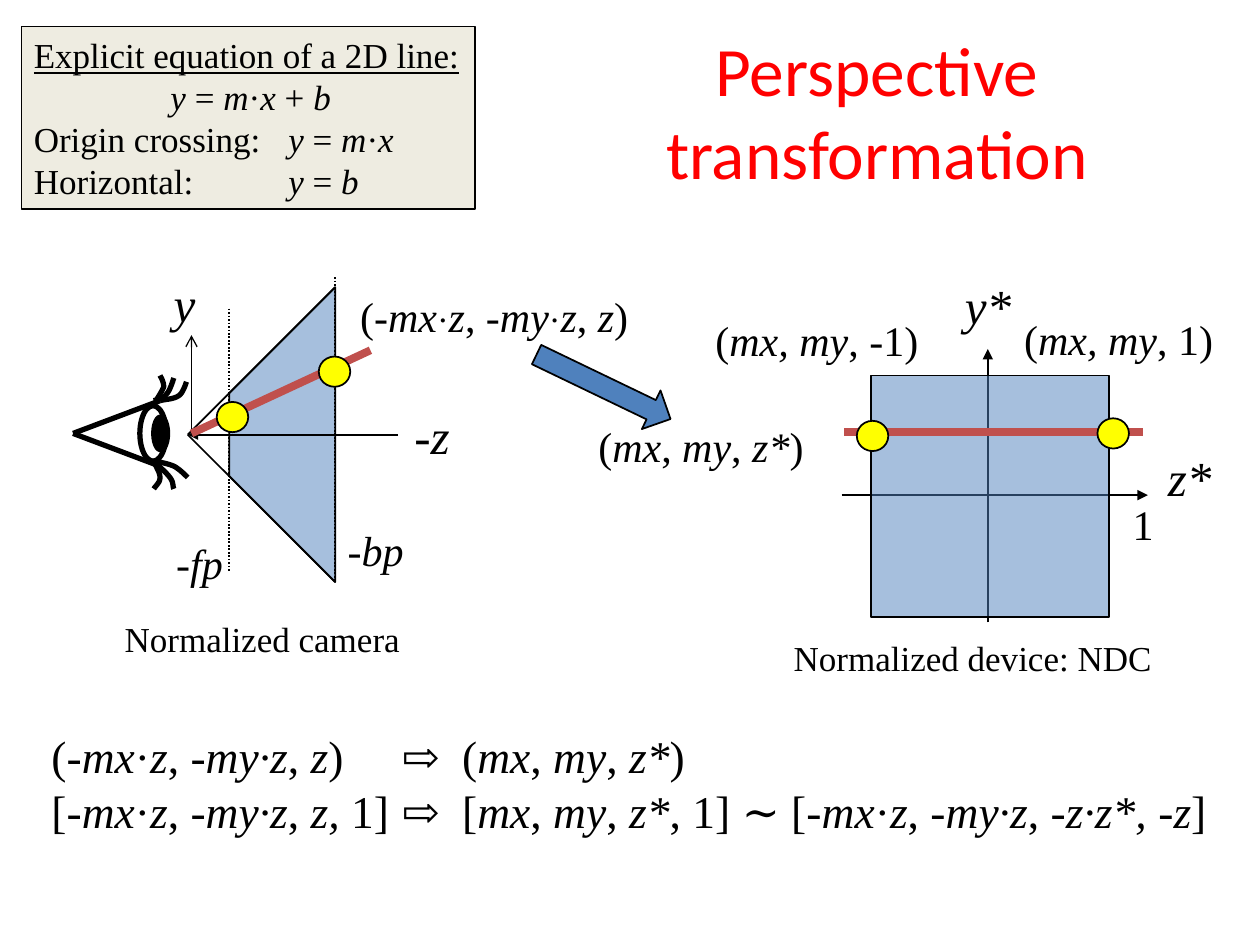
"""Build the perspective transformation slide."""
from dataclasses import dataclass
from typing import Any

from lxml import etree
from pptx import Presentation
from pptx import util as u
from pptx.dml.color import RGBColor
from pptx.enum import dml, shapes, text
from pptx.oxml.ns import qn

PX = 9144
SERIF = "Times New Roman"
BLACK, BLUE, RED, YELLOW = "000000", "4F81BD", "C0504D", "FFFF00"


def px(*lengths):
    """Turn pixel lengths into EMU."""
    return [u.Emu(round(n * PX)) for n in lengths]


def color(hex_string):
    """Return the colour for a hex string."""
    return RGBColor.from_string(hex_string)


def paint(sp, fill=None, width=1.0, alpha=None):
    """Give a shape its fill and black outline, without shadow."""
    sp.shadow.inherit = False
    sp.line.color.rgb = color(BLACK)
    sp.line.width = u.Pt(width)
    if fill is None:
        sp.fill.background()
        return
    sp.fill.solid()
    sp.fill.fore_color.rgb = color(fill)
    if alpha:
        clr = sp._element.spPr.find(qn("a:solidFill"))[0]
        etree.SubElement(clr, qn("a:alpha"), val=str(alpha * 1000))


def write(tf, lines, size, tabs=(), dot_size=None):
    """Write lines in which underscores switch italics on and off."""
    for i, line in enumerate(lines):
        p = tf.paragraphs[0] if i == 0 else tf.add_paragraph()
        p.alignment = text.PP_ALIGN.LEFT
        p.font.name = SERIF
        p.font.size = u.Pt(size)
        p.font.color.rgb = color(BLACK)
        if tabs:
            tab_list = etree.Element(qn("a:tabLst"))
            for pos in px(*tabs):
                etree.SubElement(tab_list, qn("a:tab"), pos=str(pos), algn="l")
            p._p.get_or_add_pPr().insert(0, tab_list)
        for j, part in enumerate(line.split("_")):
            if part:
                r = p.add_run()
                r.text = part
                r.font.italic = j % 2 == 1
                if part == "·" and dot_size:
                    r.font.size = u.Pt(dot_size)


def bezier(a, b, c, d, steps=8):
    """Return the points after the start of a cubic curve."""
    ts = [i / steps for i in range(1, steps + 1)]
    return [tuple((1 - t) ** 3 * k + 3 * t * (1 - t) ** 2 * m
                  + 3 * t * t * (1 - t) * n + t ** 3 * o
                  for k, m, n, o in zip(a, b, c, d)) for t in ts]


@dataclass
class Region:
    """A part of the slide that places objects relative to its corner."""
    owner: Any
    x: int
    y: int

    def place(self, x, y):
        """Turn a point of the region into slide EMU."""
        return px(self.x + x, self.y + y)

    def line(self, start, end, width=1.0, hue=BLACK, tail=None, dotted=False):
        """Draw a straight line."""
        c = self.owner.shapes.add_connector(
            shapes.MSO_CONNECTOR.STRAIGHT, *self.place(*start), *self.place(*end))
        c.line.color.rgb = color(hue)
        c.line.width = u.Pt(width)
        if dotted:
            c.line.dash_style = dml.MSO_LINE.ROUND_DOT
        if tail:
            etree.SubElement(c.line._get_or_add_ln(), qn("a:tailEnd"), type=tail)
        etree.SubElement(c._element.spPr, qn("a:effectLst"))

    def shape(self, kind, x, y, w, h, fill, width=1.0, alpha=None):
        """Draw a preset shape."""
        sp = self.owner.shapes.add_shape(kind, *self.place(x, y), *px(w, h))
        paint(sp, fill, width, alpha)
        return sp

    def oval(self, *box, fill=YELLOW, width=1.0):
        """Draw an ellipse."""
        self.shape(shapes.MSO_SHAPE.OVAL, *box, fill, width)

    def outline(self, points, closed, **style):
        """Draw a freeform through points."""
        first, *rest = [self.place(*pt) for pt in points]
        fb = self.owner.shapes.build_freeform(*first, scale=1.0)
        fb.add_line_segments(rest, close=closed)
        paint(fb.convert_to_shape(), **style)

    def label(self, content, x, y, w, h, size=24, **style):
        """Write a one-line label."""
        tf = self.owner.shapes.add_textbox(*self.place(x, y), *px(w, h)).text_frame
        tf.word_wrap = False
        tf.auto_size = text.MSO_AUTO_SIZE.SHAPE_TO_FIT_TEXT
        write(tf, [content], size, **style)


def add_title(s, x, y, w, h):
    """Place and format the title."""
    sp = s.shapes.title
    sp.left, sp.top, sp.width, sp.height = px(x, y, w, h)
    tf = sp.text_frame
    tf.text = "Perspective transformation"
    tf.auto_size = text.MSO_AUTO_SIZE.NONE
    tf.vertical_anchor = text.MSO_ANCHOR.MIDDLE
    p = tf.paragraphs[0]
    p.alignment = text.PP_ALIGN.CENTER
    p.font.name, p.font.size = "Calibri", u.Pt(39.6)
    p.font.color.rgb = color("FF0000")


def add_camera(s, x, y):
    """Draw the view frustum in normalized camera space."""
    g = Region(s, x, y)
    eye, near, far = (99, 135), 132, 216
    g.line((102, 134), (102, 56), 0.75, tail="arrow")
    g.outline([(near, 168), (far, 252), (far, 18), (near, 102)], True,
              fill=BLUE, alpha=50)
    g.line((266, 135), eye, tail="triangle")
    for end in (18, 252):
        g.line(eye, (far, end))
    g.line((near, 35), (near, 243), dotted=True)
    g.line((far, 10), (far, 252), dotted=True)
    g.label("-_fp_", 80, 212, 57, 50)
    g.label("-_bp_", 216, 201, 65, 50)
    g.line((102, 134), (244, 68), 4.5, RED)
    g.label("(-_mx_·_z_, -_my_·_z_, _z_)", 226, 16, 233, 51, dot_size=20)
    for left, top in ((203, 73), (122, 109)):
        g.oval(left, top, 25, 24)
    g.label("_-z_", 269, 107, 49, 57, 28)
    g.label("_y_", 78, 2, 38, 57, 28)
    g.label("Normalized camera", 39, 275, 240, 44, 20)


def add_device(s, x, y):
    """Draw the square of normalized device space."""
    g = Region(s, x, y)
    g.line((234, 284), (234, 67), tail="triangle")
    g.line((118, 183), (361, 183), tail="triangle")
    g.shape(shapes.MSO_SHAPE.RECTANGLE, 141, 88, 189, 192, BLUE, alpha=50)
    g.label("1", 339, 181, 37, 50)
    g.line((120, 133), (357, 133), 4.5, RED)
    g.label("(_mx, my_, 1)", 253, 34, 172, 51)
    g.label("(_mx, my_, -1)", 8, 35, 183, 51)
    for left, top in ((321, 122), (130, 124)):
        g.oval(left, top, 25, 24)
    g.label("_z*_", 367, 140, 55, 57, 28)
    g.label("_y*_", 206, 4, 57, 57, 28)
    g.label("Normalized device: NDC", 70, 290, 307, 44, 20)


def add_eye(s, x, y):
    """Draw the eye as a group with its lashes."""
    g = Region(s.shapes.add_group_shape(), x, y)
    for end in (20, 72):
        g.line((0, 46), (69, end), 3)
    g.oval(53, 24, 21, 44, fill="FFFFFF", width=3)
    g.oval(64, 33, 11, 26, fill=BLACK, width=3)
    lashes = [
        [(64, 20), (68, 19), (72, 18), (74, 15), (77, 12), (79, 5), (80, 2)],
        [(69, 20), (72, 19), (80, 19), (84, 16), (87, 14), (89, 8), (90, 5)],
        [(64, 68), (70, 69), (75, 70), (80, 72), (84, 74), (89, 79), (91, 81)],
        [(64, 68), (66, 70), (74, 77), (77, 81), (80, 85), (79, 88), (80, 90)],
        [(64, 68), (66, 73), (69, 77), (69, 81), (69, 85), (66, 87), (64, 90)],
        [(66, 20), (67, 18), (71, 12), (72, 9), (72, 5), (70, 2), (69, 0)],
    ]
    for pts in lashes:
        g.outline(pts[:1] + bezier(*pts[:4]) + bezier(*pts[3:]), False, width=3)


def add_mapping(s, x, y):
    """Draw the arrow from camera to device with its result."""
    g = Region(s, x, y)
    g.label("(_mx_, _my_, _z*_)", 0, 81, 185, 51)
    g.shape(shapes.MSO_SHAPE.DOWN_ARROW, -3, 0, 34, 118, BLUE).rotation = 295.7


def add_formulas(s, x, y, w, h):
    """Write the mapping in Cartesian and homogeneous coordinates."""
    tf = s.shapes.add_textbox(*px(x, y, w, h)).text_frame
    tf.word_wrap = True
    write(tf, ["(-_mx_·_z_, -_my·z_, _z_)\t⇨\t(_mx_, _my_, _z*_)",
               "[-_mx_·_z_, -_my·z_, _z,_ 1]\t⇨\t[_mx_, _my_, _z*_, 1] ∼ "
               "[-_mx_·_z_, -_my·z_, -_z·z*,_ -_z_]"], 26, tabs=(278, 326))


def add_line_equations(s, x, y, w, h):
    """Write the box with the equations of a 2D line."""
    sp = Region(s, x, y).shape(shapes.MSO_SHAPE.RECTANGLE, 0, 0, w, h, "EEECE1", 0.75)
    tf = sp.text_frame
    tf.word_wrap = True
    tf.margin_right = px(6)[0]
    write(tf, ["Explicit equation of a 2D line:", "_y_ = _m_·_x_ + _b_",
               "Origin crossing:\t_y_ = _m_·_x_", "Horizontal:\t_y_ = _b_"],
          20, tabs=(202,))
    tf.paragraphs[0].font.underline = True
    tf.paragraphs[1].alignment = text.PP_ALIGN.CENTER


def main():
    """Build and save the slide."""
    prs = Presentation()
    prs.slide_width, prs.slide_height = px(1000, 750)
    s = prs.slides.add_slide(prs.slide_layouts[5])
    add_title(s, 392, 25, 608, 125)
    add_camera(s, 50, 210)
    add_device(s, 550, 210)
    add_formulas(s, 31, 573, 960, 98)
    add_mapping(s, 465, 248)
    add_eye(s, 58, 298)
    add_line_equations(s, 17, 21, 360, 145)
    prs.save("out.pptx")


if __name__ == "__main__":
    main()
